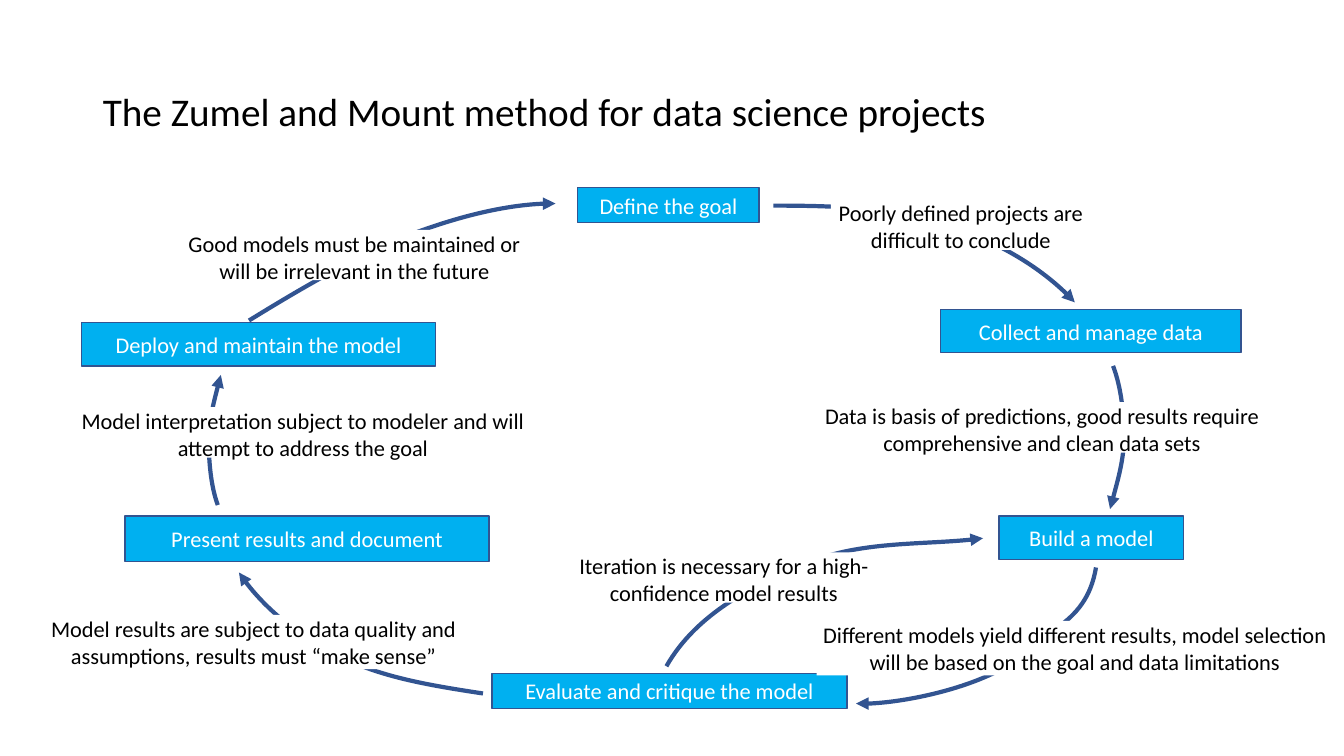
from dataclasses import dataclass

import lxml.etree
import pptx
import pptx.dml.color
import pptx.enum.shapes
import pptx.enum.text
import pptx.oxml.ns
import pptx.util

Inches = pptx.util.Inches
Pt = pptx.util.Pt
qn = pptx.oxml.ns.qn
ALIGN = pptx.enum.text.PP_ALIGN
ANCHOR = pptx.enum.text.MSO_ANCHOR
FONT = "Calibri"
COLORS = {"step": "00B0F0", "line": "325491", "white": "FFFFFF", "black": "000000"}


@dataclass
class Box:
    text: str
    left: float
    top: float
    width: float
    height: float


@dataclass
class Curve:
    points: list[tuple[float, float]]


STEPS = [
    Box("Define the goal", 5.73, 1.86, 1.8, 0.35),
    Box("Collect and manage data", 9.33, 3.07, 2.98, 0.43),
    Box("Build a model", 9.91, 5.12, 1.83, 0.43),
    Box("Evaluate and critique the model", 4.88, 6.68, 3.52, 0.35),
    Box("Present results and document", 1.24, 5.12, 3.61, 0.45),
    Box("Deploy and maintain the model", 0.81, 3.2, 3.51, 0.43),
]

CURVES = [
    Curve([(2.47, 3.18), (3.12, 2.78), (3.59, 2.52), (4.09, 2.32),
           (4.6, 2.13), (5.15, 2.01), (5.51, 2.02)]),
    Curve([(7.67, 2.04), (8.38, 2.04), (8.89, 2.07), (9.38, 2.23),
           (9.88, 2.39), (10.37, 2.68), (10.66, 3)]),
    Curve([(10.87, 5.63), (10.77, 6.24), (10.27, 6.27), (9.95, 6.63),
           (9.55, 6.85), (8.81, 7), (8.49, 6.98)]),
    Curve([(4.79, 6.88), (4.19, 6.79), (3.77, 6.71), (3.36, 6.51),
           (2.96, 6.31), (2.57, 5.99), (2.37, 5.68)]),
    Curve([(11.04, 3.63), (11.12, 3.84), (11.15, 4.11), (11.15, 4.35),
           (11.14, 4.58), (11.08, 4.79), (11.01, 5.05)]),
    Curve([(2.16, 5.01), (2.09, 4.82), (2.07, 4.57), (2.07, 4.36),
           (2.08, 4.14), (2.13, 3.95), (2.19, 3.72)]),
    Curve([(6.61, 6.61), (6.91, 6.08), (7.5, 5.79), (8.02, 5.58),
           (8.54, 5.37), (9.22, 5.41), (9.75, 5.34)]),
]

NOTES = [
    Box("Poorly defined projects are difficult to conclude", 8.24, 1.98, 2.58, 0.5),
    Box("Iteration is necessary for a high-confidence model results",
        5.61, 5.48, 3.14, 0.5),
    Box("Data is basis of predictions, good results require comprehensive "
        "and clean data sets", 7.81, 3.99, 5.05, 0.5),
    Box("Different models yield different results, model selection will be "
        "based on the goal and data limitations", 8.1, 6.16, 5.12, 0.54),
    Box("Good models must be maintained or will be irrelevant in the future",
        1.74, 2.28, 3.55, 0.5),
    Box("Model interpretation subject to modeler and will attempt to address "
        "the goal", 0.48, 4.04, 5.05, 0.5),
    Box("Model results are subject to data quality and assumptions, results "
        "must “make sense”", 0.4, 6.1, 4.23, 0.54),
]


def color(name: str) -> pptx.dml.color.RGBColor:
    return pptx.dml.color.RGBColor.from_string(COLORS[name])


def write(frame, text: str, size: int, ink: str, align) -> None:
    para = frame.paragraphs[0]
    para.alignment = align
    run = para.add_run()
    run.text = text
    run.font.name = FONT
    run.font.size = Pt(size)
    run.font.color.rgb = color(ink)


def stroke(shape, width: float) -> None:
    shape.line.color.rgb = color("line")
    shape.line.width = Pt(width)


def draw_box(shapes, box: Box, fill: str, ink: str):
    shape = shapes.add_shape(
        pptx.enum.shapes.MSO_SHAPE.RECTANGLE,
        Inches(box.left), Inches(box.top), Inches(box.width), Inches(box.height))
    shape.shadow.inherit = False
    shape.fill.solid()
    shape.fill.fore_color.rgb = color(fill)
    shape.text_frame.word_wrap = True
    write(shape.text_frame, box.text, 16, ink, ALIGN.CENTER)
    return shape


def draw_step(shapes, box: Box) -> None:
    shape = draw_box(shapes, box, "step", "white")
    shape.text_frame.vertical_anchor = ANCHOR.MIDDLE
    stroke(shape, 1)


def draw_note(shapes, box: Box) -> None:
    shape = draw_box(shapes, box, "white", "black")
    shape.line.fill.background()
    frame = shape.text_frame
    frame.vertical_anchor = ANCHOR.TOP
    frame.auto_size = pptx.enum.text.MSO_AUTO_SIZE.SHAPE_TO_FIT_TEXT
    frame.margin_left = frame.margin_right = 0
    frame.margin_top = frame.margin_bottom = 0


def draw_curve(shapes, curve: Curve) -> None:
    start, *rest = [(Inches(x), Inches(y)) for x, y in curve.points]
    pen = shapes.build_freeform(*start)
    pen.add_line_segments(rest, close=False)
    shape = pen.convert_to_shape()
    shape.shadow.inherit = False
    shape.fill.background()
    stroke(shape, 3)
    props = shape.element.spPr
    lxml.etree.SubElement(props.find(qn("a:ln")), qn("a:tailEnd"), type="triangle")
    route = next(props.iter(qn("a:path")))
    lines = route.findall(qn("a:lnTo"))
    for first in range(0, len(lines), 3):
        bend = lxml.etree.SubElement(route, qn("a:cubicBezTo"))
        for line in lines[first:first + 3]:
            bend.append(line[0])
            route.remove(line)


def draw_title(title) -> None:
    title.left, title.top = Inches(0.92), Inches(0.4)
    title.width, title.height = Inches(11.5), Inches(1.45)
    title.text_frame.vertical_anchor = ANCHOR.MIDDLE
    write(title.text_frame, "The Zumel and Mount method for data science projects",
          28, "black", ALIGN.LEFT)
    title.text_frame.paragraphs[0].line_spacing = 0.9


def main() -> None:
    deck = pptx.Presentation()
    deck.slide_width, deck.slide_height = Inches(13.33), Inches(7.5)
    slide = deck.slides.add_slide(deck.slide_layouts[5])
    draw_title(slide.shapes.title)
    cycle = slide.shapes.add_group_shape().shapes
    for step in STEPS:
        draw_step(cycle, step)
    for curve in CURVES:
        draw_curve(cycle, curve)
    for note in NOTES:
        draw_note(cycle, note)
    deck.save("out.pptx")


if __name__ == "__main__":
    main()
